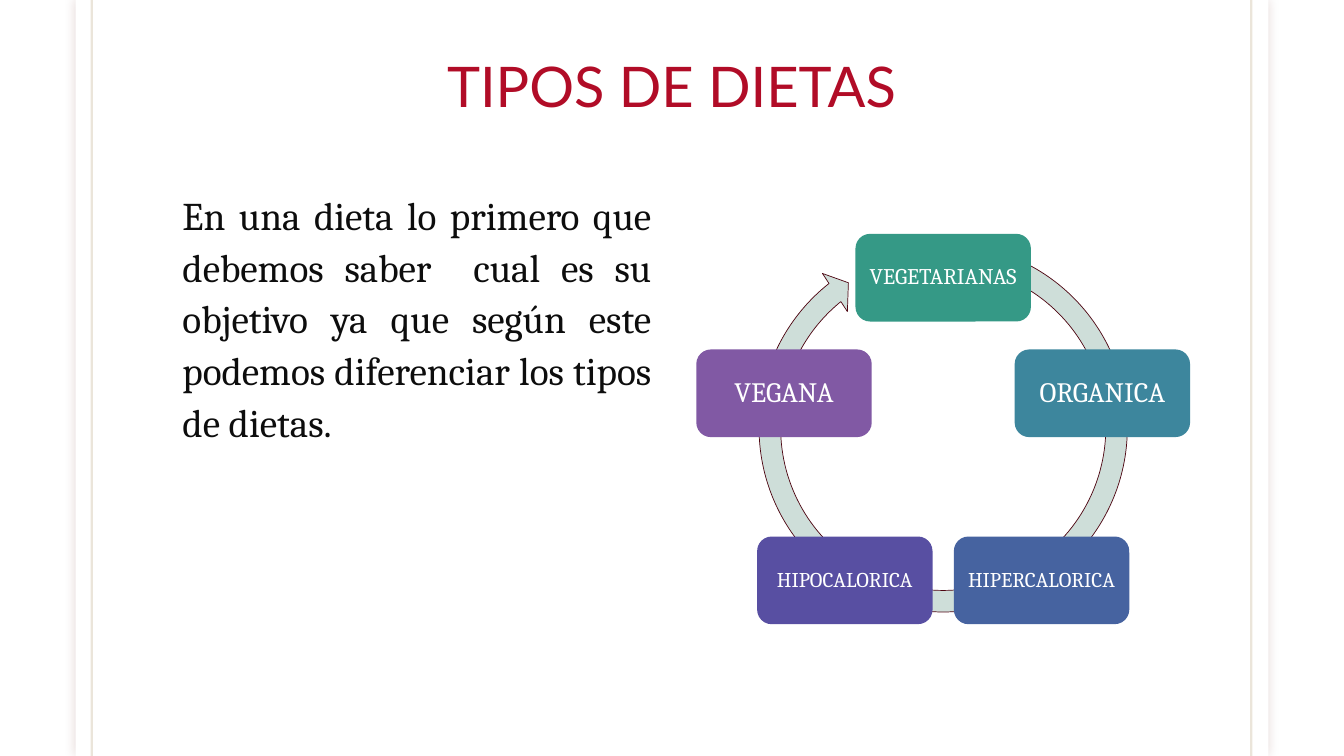
import dataclasses
import math

import lxml.etree
import pptx
import pptx.dml.color
import pptx.enum.shapes
import pptx.enum.text
import pptx.oxml.ns
import pptx.util

Inches = pptx.util.Inches
Pt = pptx.util.Pt
Shapes = pptx.enum.shapes.MSO_SHAPE
Align = pptx.enum.text.PP_ALIGN
Anchor = pptx.enum.text.MSO_ANCHOR


@dataclasses.dataclass(frozen=True)
class Theme:
    title_font: str = "Lato"
    body_font: str = "Cambria"
    title_size: int = 40
    body_size: int = 28
    white: str = "FFFFFF"
    title: str = "B10C27"
    body: str = "0D0D0D"
    shadow: str = "65150F"
    rule: str = "79540B"
    ring: str = "CEDED9"
    ring_edge: str = "4D0511"


THEME = Theme()

DIETS = [
    ("VEGETARIANAS", "359986", 16),
    ("ORGANICA", "3D869D", 20),
    ("HIPERCALORICA", "4663A0", 15),
    ("HIPOCALORICA", "584FA2", 15),
    ("VEGANA", "8159A4", 20),
]


def rgb(value):
    return pptx.dml.color.RGBColor.from_string(value)


def add_xml(parent, tag, **attributes):
    return lxml.etree.SubElement(parent, pptx.oxml.ns.qn(tag), attributes)


def set_font(para, name, size, color):
    para.font.name = name
    para.font.size = Pt(size)
    para.font.color.rgb = rgb(color)


def add_solid_shape(page, kind, box, color):
    shape = page.shapes.add_shape(kind, *map(Inches, box))
    shape.shadow.inherit = False
    shape.fill.solid()
    shape.fill.fore_color.rgb = rgb(color)
    shape.line.fill.background()
    return shape


def add_frame(page, box):
    left, top, width, height = box
    panel = add_solid_shape(page, Shapes.RECTANGLE, box, THEME.white)
    effects = panel.element.spPr.find(pptx.oxml.ns.qn("a:effectLst"))
    shadow = add_xml(effects, "a:outerShdw", blurRad=str(Pt(7)), dist="0", dir="0")
    color = add_xml(shadow, "a:srgbClr", val=THEME.shadow)
    add_xml(color, "a:alpha", val="15000")

    for x in (left + 0.16, left + width - 0.17):
        rule = page.shapes.add_connector(
            pptx.enum.shapes.MSO_CONNECTOR.STRAIGHT,
            Inches(x), Inches(top), Inches(x), Inches(top + height))
        rule.line.width = Pt(1.5)
        rule.line.color.rgb = rgb(THEME.rule)
        color = rule.element.spPr.find(".//" + pptx.oxml.ns.qn("a:srgbClr"))
        add_xml(color, "a:alpha", val="15000")
        add_xml(rule.element.spPr, "a:effectLst")


def fill_placeholder(page, holder, box, text, anchor):
    page.shapes.element.append(holder.element)
    holder.left, holder.top, holder.width, holder.height = map(Inches, box)
    frame = holder.text_frame
    frame.text = text
    frame.auto_size = pptx.enum.text.MSO_AUTO_SIZE.NONE
    frame.vertical_anchor = anchor
    return frame.paragraphs[0]


def add_title(page, box, text):
    para = fill_placeholder(page, page.shapes.title, box, text, Anchor.BOTTOM)
    para.alignment = Align.CENTER
    para.line_spacing = 0.85
    set_font(para, THEME.title_font, THEME.title_size, THEME.title)


def add_body(page, box, text):
    para = fill_placeholder(page, page.placeholders[1], box, text, Anchor.TOP)
    para.alignment = Align.JUSTIFY
    para.line_spacing = 1.1
    para.space_before = Pt(18)
    properties = para._p.get_or_add_pPr()
    properties.set("marL", str(Inches(0.05)))
    properties.set("indent", "0")
    add_xml(properties, "a:buNone")
    set_font(para, THEME.body_font, THEME.body_size, THEME.body)


def add_node(page, box, label, color, size):
    node = add_solid_shape(page, Shapes.ROUNDED_RECTANGLE, box, color)
    frame = node.text_frame
    frame.word_wrap = True
    frame.vertical_anchor = Anchor.MIDDLE
    frame.margin_left = frame.margin_right = Inches(0.1)
    frame.margin_top = frame.margin_bottom = Inches(0.1)
    frame.text = label
    para = frame.paragraphs[0]
    para.alignment = Align.CENTER
    para.line_spacing = 0.9
    set_font(para, THEME.body_font, size, THEME.white)


def add_cycle(page, box, diets):
    left, top, width, height = box
    ring = add_solid_shape(page, Shapes.CIRCULAR_ARROW, box, THEME.ring)
    ring.line.color.rgb = rgb(THEME.ring_edge)
    ring.line.width = Pt(0.5)
    units_per_degree = 0.6
    ring.adjustments[0] = 0.055
    ring.adjustments[1] = 5.51 * units_per_degree
    ring.adjustments[2] = 231.35 * units_per_degree
    ring.adjustments[3] = 288.71 * units_per_degree
    ring.adjustments[4] = 0.058

    node_width, node_height, radius = 1.74, 0.87, 1.66
    center_x = left + width / 2
    center_y = top + height / 2 + 0.17
    for index, (label, color, size) in enumerate(diets):
        angle = math.tau * index / len(diets)
        x = center_x + radius * math.sin(angle) - node_width / 2
        y = center_y - radius * math.cos(angle) - node_height / 2
        add_node(page, (x, y, node_width, node_height), label, color, size)


def main():
    deck = pptx.Presentation()
    deck.slide_width = Inches(13.33)
    deck.slide_height = Inches(7.5)
    page = deck.slides.add_slide(deck.slide_layouts[1])
    page.background.fill.solid()
    page.background.fill.fore_color.rgb = rgb(THEME.white)
    add_frame(page, (0.75, 0, 11.83, 7.5))
    add_title(page, (1.66, 0.35, 10, 0.88), "TIPOS DE DIETAS")
    add_body(page, (1.66, 1.8, 4.9, 4.95),
             "En una dieta lo primero que debemos saber  cual es su objetivo "
             "ya que según este podemos diferenciar los tipos de dietas.")
    add_cycle(page, (7.41, 2.3, 3.89, 3.89), DIETS)
    deck.save("out.pptx")


if __name__ == "__main__":
    main()
